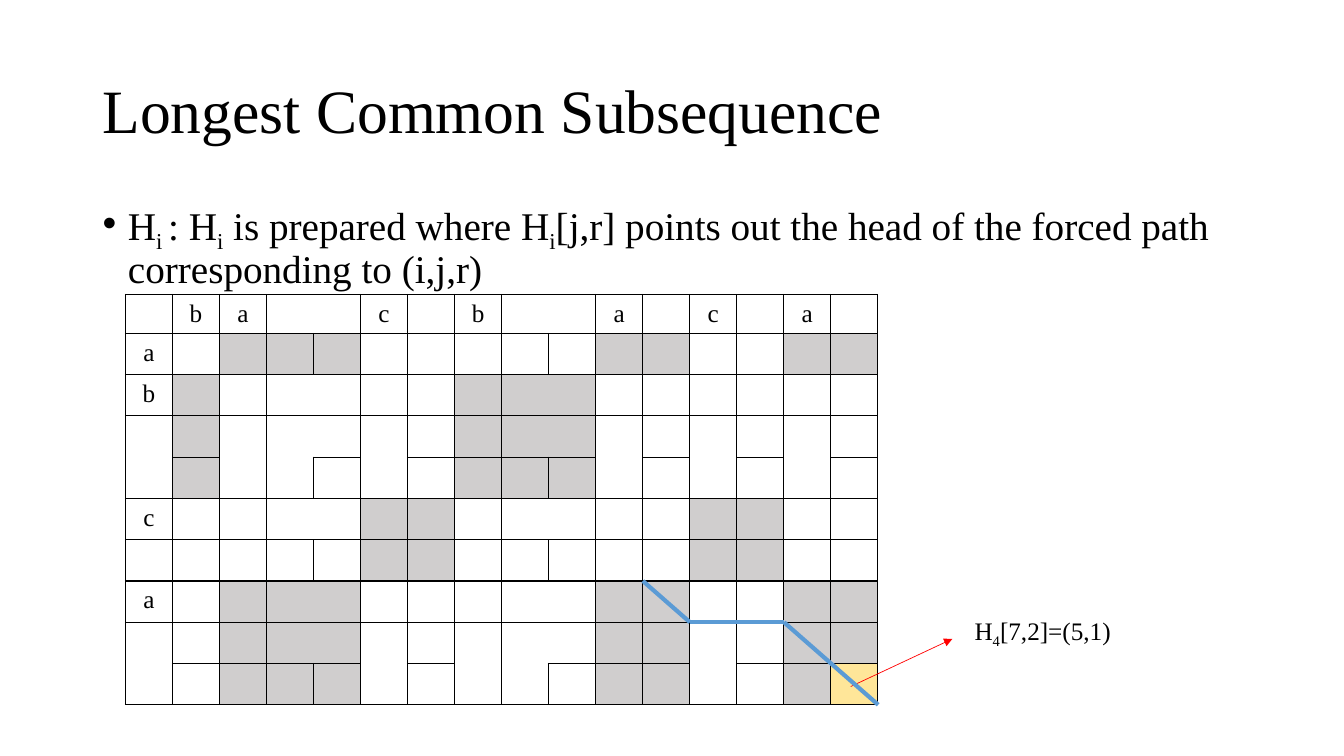
import collections

import lxml.etree
import pptx
import pptx.dml.color
import pptx.enum.shapes
import pptx.enum.text
import pptx.oxml
import pptx.oxml.ns
import pptx.util

Cm = pptx.util.Cm
Pt = pptx.util.Pt
qn = pptx.oxml.ns.qn
Box = collections.namedtuple("Box", "left top width height")

BLACK, MATCH_GREY, TARGET_YELLOW = "000000", "D0CECE", "FFE699"
PATH_BLUE, POINTER_RED = "5B9BD5", "FF0000"
NO_GRID_STYLE = "{2D5ABB26-0587-4C30-8999-92F81FD0307C}"
COLUMN_RUNS = [("b", 1), ("a", 3), ("c", 2), ("b", 3), ("a", 2), ("c", 2), ("a", 2)]
ROW_RUNS = [("a", 1), ("b", 3), ("c", 2), ("a", 3)]
HEADER_HEIGHT, ROW_HEIGHT = 0.98, 1.04
FORCED_PATH = [(16, 10), (14, 8), (12, 8), (11, 7)]

TITLE_BOX = Box(2.33, 1.01, 29.21, 3.68)
DEFINITION_BOX = Box(2.33, 4.95, 29.21, 12.09)
GRID_BOX = Box(3.16, 7.42, 18.97, 10.34)
EXAMPLE_BOX = Box(24.31, 15.37, 4.01, 1.02)

Slot = collections.namedtuple("Slot", "letter run first last")


def rgb(value):
    return pptx.dml.color.RGBColor.from_string(value)


def apply_format(target, values):
    for name, value in values.items():
        setattr(target, name, value)


def place(shape, box):
    apply_format(shape, {name: Cm(value) for name, value in box._asdict().items()})


def write_runs(paragraph, pieces, size):
    for text, subscript in pieces:
        run = paragraph.add_run()
        run.text = text
        apply_format(run.font, {"name": "Times New Roman", "size": Pt(size)})
        run.font.color.rgb = rgb(BLACK)
        if subscript:
            run._r.get_or_add_rPr().set("baseline", "-25000")


def expand(runs):
    slots = [Slot("", 0, True, True)]
    for run, (letter, length) in enumerate(runs, 1):
        slots += [Slot(letter, run, k == 0, k == length - 1) for k in range(length)]
    return slots


COLUMNS, ROWS = expand(COLUMN_RUNS), expand(ROW_RUNS)


def is_match(r, c):
    return r > 0 and c > 0 and ROWS[r].letter == COLUMNS[c].letter


def region(r, c):
    if not (0 <= r < len(ROWS) and 0 <= c < len(COLUMNS)):
        return None
    row, column = ROWS[r], COLUMNS[c]
    if r == 0 or c == 0:
        part = 0
    elif is_match(r, c):
        part = c if row.last else 0
    else:
        part = int(row.last and column.last)
    return row.run, column.run, part


def draw_title(slide, box):
    title = slide.shapes.title
    place(title, box)
    apply_format(title.text_frame, {
        "vertical_anchor": pptx.enum.text.MSO_ANCHOR.MIDDLE,
        "auto_size": pptx.enum.text.MSO_AUTO_SIZE.NONE,
    })
    heading = title.text_frame.paragraphs[0]
    apply_format(heading, {"alignment": pptx.enum.text.PP_ALIGN.LEFT, "line_spacing": 0.9})
    write_runs(heading, [("Longest Common Subsequence", False)], 44)


def draw_definition(slide, box):
    body = slide.placeholders[1]
    place(body, box)
    body.text_frame.auto_size = pptx.enum.text.MSO_AUTO_SIZE.NONE
    definition = body.text_frame.paragraphs[0]
    apply_format(definition, {"line_spacing": 0.9, "space_before": Pt(0)})
    properties = definition._p.get_or_add_pPr()
    properties.set("marL", str(Cm(0.64)))
    properties.set("indent", str(-Cm(0.64)))
    lxml.etree.SubElement(properties, qn("a:buFont")).set("typeface", "Arial")
    lxml.etree.SubElement(properties, qn("a:buChar")).set("char", "•")
    write_runs(definition, [
        ("H", False), ("i ", True), (": H", False), ("i", True),
        (" is prepared where H", False), ("i", True),
        ("[j,r] points out the head of the forced path corresponding to (i,j,r)", False),
    ], 28)


def draw_borders(cell, r, c):
    neighbours = {"L": (r, c - 1), "R": (r, c + 1), "T": (r - 1, c), "B": (r + 1, c)}
    properties = cell._tc.get_or_add_tcPr()
    for side, neighbour in neighbours.items():
        if region(r, c) != region(*neighbour):
            border = lxml.etree.SubElement(properties, qn("a:ln" + side), w=str(Pt(1)))
            fill = lxml.etree.SubElement(border, qn("a:solidFill"))
            lxml.etree.SubElement(fill, qn("a:srgbClr"), val=BLACK)


def fill_cell(cell, r, c):
    apply_format(cell, {"margin_top": Cm(0.13), "margin_bottom": Cm(0)})
    draw_borders(cell, r, c)
    if (r, c) == (len(ROWS) - 1, len(COLUMNS) - 1):
        cell.fill.solid()
        cell.fill.fore_color.rgb = rgb(TARGET_YELLOW)
    elif is_match(r, c):
        cell.fill.solid()
        cell.fill.fore_color.rgb = rgb(MATCH_GREY)
    else:
        cell.fill.background()
    row, column = ROWS[r], COLUMNS[c]
    letter = column.letter if r == 0 and column.first else ""
    if c == 0 and row.first:
        letter = row.letter
    if letter:
        label = cell.text_frame.paragraphs[0]
        label.alignment = pptx.enum.text.PP_ALIGN.CENTER
        write_runs(label, [(letter, False)], 18)


def draw_grid(slide, box):
    frame = slide.shapes.add_table(len(ROWS), len(COLUMNS), *map(Cm, box))
    grid = frame.table
    apply_format(grid, {"first_row": False, "horz_banding": False})
    grid._tbl.tblPr.find(qn("a:tableStyleId")).text = NO_GRID_STYLE
    for column in grid.columns:
        column.width = Cm(box.width / len(COLUMNS))
    for r, row in enumerate(grid.rows):
        row.height = Cm(ROW_HEIGHT if r else HEADER_HEIGHT)
        for c, cell in enumerate(row.cells):
            fill_cell(cell, r, c)


def draw_line(slide, start, end, color, width, arrow=False):
    line = slide.shapes.add_connector(
        pptx.enum.shapes.MSO_CONNECTOR.STRAIGHT, *map(Cm, start + end))
    line.line.color.rgb = rgb(color)
    line.line.width = Pt(width)
    if arrow:
        lxml.etree.SubElement(line.line._get_or_add_ln(), qn("a:tailEnd"), type="triangle")
    lxml.etree.SubElement(line._element.spPr, qn("a:effectLst"))


def draw_forced_path(slide, box):
    corners = [
        (box.left + c * box.width / len(COLUMNS),
         box.top + HEADER_HEIGHT + (r - 1) * ROW_HEIGHT)
        for c, r in FORCED_PATH
    ]
    for start, end in zip(corners, corners[1:]):
        draw_line(slide, start, end, PATH_BLUE, 3)


def draw_example(slide, box, grid):
    target = (grid.left + grid.width - 0.69, grid.top + grid.height - 0.46)
    draw_line(slide, target, (box.left - 0.31, box.top + 0.73), POINTER_RED, 0.5, True)
    example = slide.shapes.add_textbox(*map(Cm, box))
    example.text_frame.word_wrap = False
    write_runs(example.text_frame.paragraphs[0],
               [("H", False), ("4", True), ("[7,2]=(5,1)", False)], 18)


def main():
    deck = pptx.Presentation()
    apply_format(deck, {"slide_width": Cm(33.87), "slide_height": Cm(19.05)})
    slide = deck.slides.add_slide(deck.slide_layouts[1])
    draw_title(slide, TITLE_BOX)
    draw_definition(slide, DEFINITION_BOX)
    draw_grid(slide, GRID_BOX)
    draw_example(slide, EXAMPLE_BOX, GRID_BOX)
    draw_forced_path(slide, GRID_BOX)
    deck.save("out.pptx")


if __name__ == "__main__":
    main()
